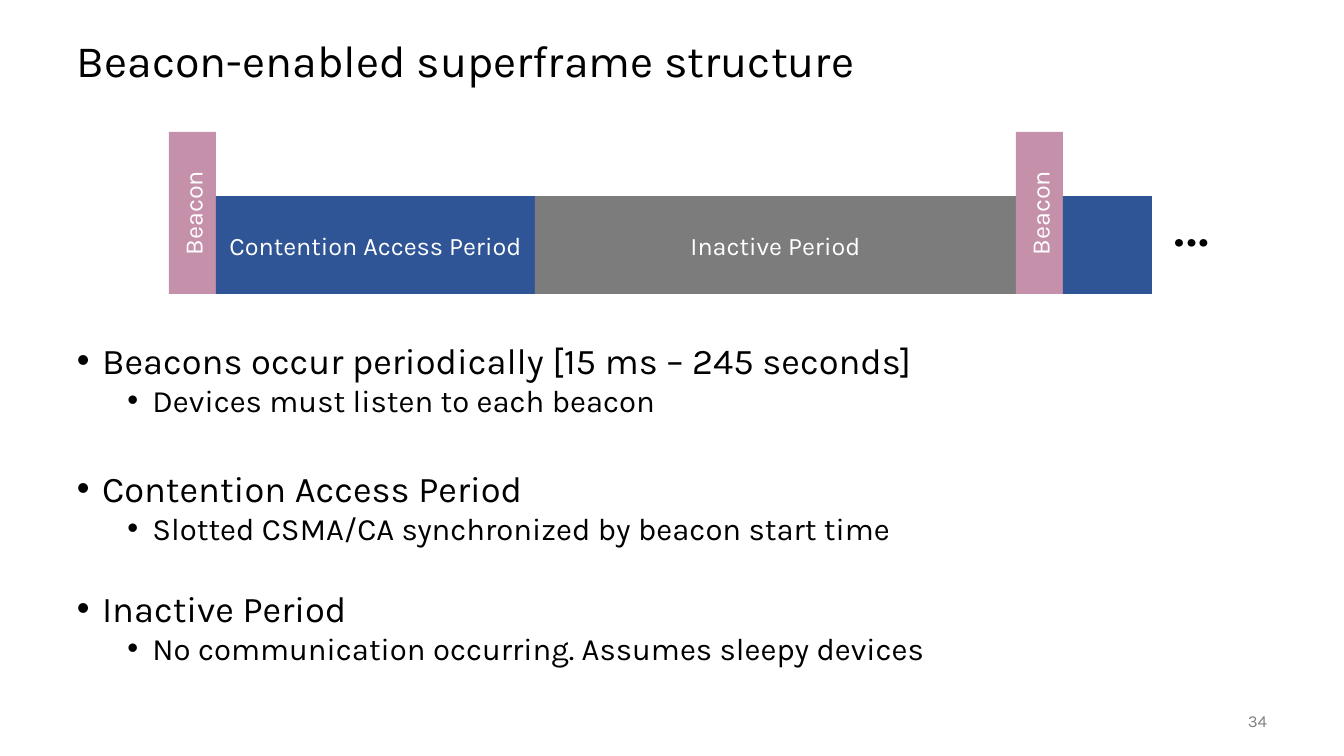
import pptx
import pptx.util
import pptx.dml.color
import pptx.enum.shapes
import pptx.enum.text
import pptx.oxml

EMU_PER_PX = 914400 / 100.8
FONT = "Karla"
COLORS = {
    "text": "000000",
    "page_number": "808080",
    "on_bar": "FFFFFF",
    "beacon": "C490AA",
    "contention": "2F5597",
    "inactive": "7C7C7C",
}
ALIGN = pptx.enum.text.PP_ALIGN
ANCHOR = pptx.enum.text.MSO_ANCHOR

TIMELINE_LEFT, TIMELINE_BOTTOM = 169, 294
# label, colour, width, height
PERIODS = [
    ("Beacon", "beacon", 47, 162),
    ("Contention Access Period", "contention", 319, 98),
    ("Inactive Period", "inactive", 481, 98),
    ("Beacon", "beacon", 47, 162),
    ("", "contention", 89, 98),
]
# heading, detail, points of space before the heading
TOPICS = [
    ("Beacons occur periodically [15 ms – 245 seconds]",
     "Devices must listen to each beacon", 0),
    ("Contention Access Period",
     "Slotted CSMA/CA synchronized by beacon start time", 40),
    ("Inactive Period",
     "No communication occurring. Assumes sleepy devices", 34.5),
]


def px(length):
    return pptx.util.Emu(round(length * EMU_PER_PX))


def rgb(name):
    return pptx.dml.color.RGBColor.from_string(COLORS[name])


def add_run(paragraph, text, size, color):
    run = paragraph.add_run()
    run.text = text
    run.font.name = FONT
    run.font.size = pptx.util.Pt(size)
    run.font.color.rgb = rgb(color)


def add_text_frame(slide, left, top, width, height, anchor=ANCHOR.MIDDLE):
    box = slide.shapes.add_textbox(px(left), px(top), px(width), px(height))
    frame = box.text_frame
    frame.word_wrap = True
    frame.vertical_anchor = anchor
    return frame


def add_label(slide, bounds, text, size, color="text", align=ALIGN.LEFT, line_spacing=1.0):
    paragraph = add_text_frame(slide, *bounds).paragraphs[0]
    paragraph.alignment = align
    paragraph.line_spacing = line_spacing
    add_run(paragraph, text, size, color)


def add_period(slide, left, label, color, width, height):
    """Draw one part of the superframe, standing on the timeline's bottom edge."""
    bar = slide.shapes.add_shape(
        pptx.enum.shapes.MSO_SHAPE.RECTANGLE,
        px(left), px(TIMELINE_BOTTOM - height), px(width), px(height))
    bar.shadow.inherit = False
    bar.fill.solid()
    bar.fill.fore_color.rgb = rgb(color)
    bar.line.fill.background()
    if not label:
        return
    frame = bar.text_frame
    frame.word_wrap = True
    frame.vertical_anchor = ANCHOR.MIDDLE
    if height > width:
        frame._txBody.bodyPr.set("vert", "vert270")
    frame.paragraphs[0].alignment = ALIGN.CENTER
    add_run(frame.paragraphs[0], label, 18, "on_bar")


def add_timeline(slide):
    left = TIMELINE_LEFT
    for label, color, width, height in PERIODS:
        add_period(slide, left, label, color, width, height)
        left += width


def format_bullet(paragraph, level, space_before):
    paragraph.level = level
    properties = paragraph._p.get_or_add_pPr()
    properties.set("marL", str(pptx.util.Inches(0.25 + 0.5 * level)))
    properties.set("indent", str(pptx.util.Inches(-0.25)))
    paragraph.line_spacing = 0.8
    paragraph.space_before = pptx.util.Pt(space_before)
    namespace = pptx.oxml.ns.nsdecls("a")
    for element in ('buFont typeface="Arial"', 'buChar char="•"'):
        properties.append(pptx.oxml.parse_xml(f"<a:{element} {namespace}/>"))


def add_topics(slide):
    frame = add_text_frame(slide, 67, 342, 1210, 339, ANCHOR.TOP)
    for index, (heading, detail, space_before) in enumerate(TOPICS):
        paragraph = frame.add_paragraph() if index else frame.paragraphs[0]
        format_bullet(paragraph, 0, space_before)
        add_run(paragraph, heading, 25.9, "text")
        paragraph = frame.add_paragraph()
        format_bullet(paragraph, 1, 5)
        add_run(paragraph, detail, 22.2, "text")


def main():
    deck = pptx.Presentation()
    deck.slide_width, deck.slide_height = px(1344), px(756)
    slide = deck.slides.add_slide(deck.slide_layouts[6])
    add_label(slide, (67, 25, 1210, 76), "Beacon-enabled superframe structure", 32,
              line_spacing=0.9)
    add_topics(slide)
    add_label(slide, (1176, 701, 101, 40), "34", 12, "page_number", ALIGN.RIGHT)
    add_timeline(slide)
    add_label(slide, (1164, 174, 104, 92), "…", 48)
    deck.save("out.pptx")


if __name__ == "__main__":
    main()
